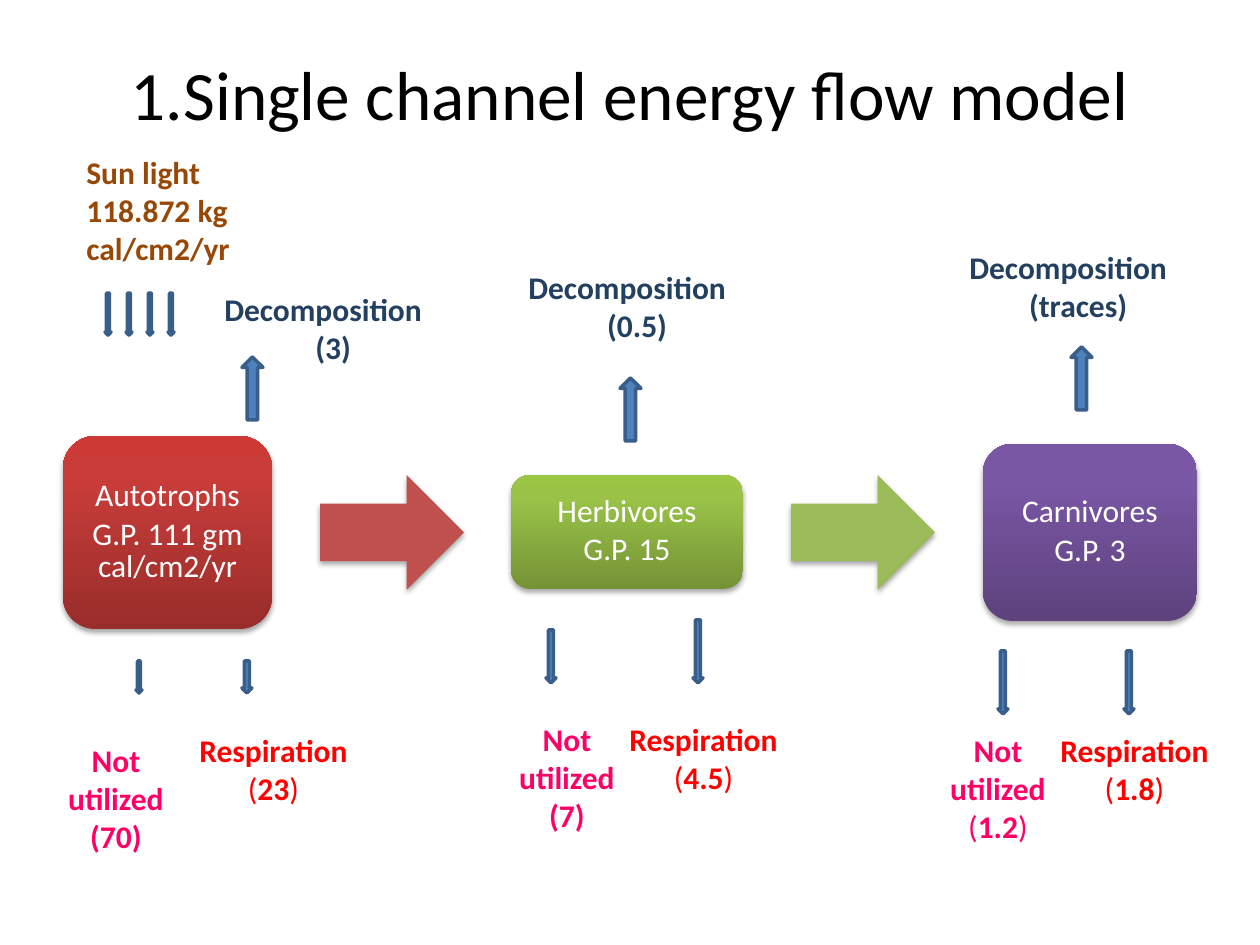
"""Build the single channel energy flow slide."""
from copy import deepcopy
from typing import NamedTuple

from lxml.etree import SubElement
from pptx import Presentation
from pptx.dml.color import RGBColor
from pptx.enum.shapes import MSO_SHAPE
from pptx.enum.text import MSO_ANCHOR, PP_ALIGN
from pptx.oxml.ns import qn
from pptx.util import Emu, Pt

FONT = "Calibri"
COLORS = {
    "title": "000000", "white": "FFFFFF", "sun": "974806",
    "decay": "244061", "waste": "FF0066", "breath": "FF0000",
    "arrow": "4F81BD", "edge": "395E89",
    "red": "C0504D", "green": "9BBB59",
}
SHADES = {
    "red": ("992D2B", "C93D39", "CD3A36"),
    "green": ("759336", "99C247", "9BC545"),
    "purple": ("5D427D", "7A57A5", "7A56A7"),
}


class Box(NamedTuple):
    left: int
    top: int
    width: int
    height: int


class Level(NamedTuple):
    box: Box
    shade: str
    lines: tuple


class Label(NamedTuple):
    box: Box
    color: str
    lines: tuple
    light: bool = False


LEVELS = [
    Level(Box(63, 436, 209, 193), "red", ("Autotrophs", "G.P. 111 gm cal/cm2/yr")),
    Level(Box(511, 475, 232, 114), "green", ("Herbivores", "G.P. 15")),
    Level(Box(983, 444, 214, 177), "purple", ("Carnivores", "G.P. 3")),
]
FLOWS = [(Box(320, 475, 144, 115), "red"), (Box(791, 475, 144, 115), "green")]
RAYS = [Box(105 + 21 * i, 293, 6, 42) for i in range(4)]
DOWN = RAYS + [
    Box(136, 661, 6, 32), Box(242, 661, 10, 32),
    Box(546, 630, 10, 53), Box(693, 620, 10, 63),
    Box(998, 651, 10, 63), Box(1124, 651, 10, 63),
]
UPWARD = [Box(x, y, 21, 63) for x, y in ((242, 357), (620, 378), (1071, 347))]
DECAYS = [
    Label(Box(x, y, 242, 89), "decay", ("Decomposition", text))
    for x, y, text in ((210, 284, "(3)"), (514, 262, "(0.5)"), (955, 242, "(traces)"))
]
WASTES = [
    Label(Box(x, y, 126, 127), "waste", ("Not utilized", text), light)
    for x, y, text, light in (
        (53, 735, "(70)", False), (504, 714, "(7)", False), (935, 725, "(1.2)", True))
]
BREATHS = [
    Label(Box(x, y, 189, 89), "breath", (f"Respiration {text}",), True)
    for x, y, text in ((179, 725, "(23)"), (609, 714, "(4.5)"), (1040, 725, "(1.8)"))
]


def px(count: int) -> Emu:
    """Turn px into EMU."""
    return Emu(round(count * 914400 / 126))


def place(box: Box) -> list:
    """Give a box in EMU."""
    return [px(side) for side in box]


def style(run, color: str, size: float = 18, bold: bool = False) -> None:
    """Format one run."""
    font = run.font
    font.name, font.size, font.bold = FONT, Pt(size), bold
    font.color.rgb = RGBColor.from_string(COLORS[color])


def cast(shape) -> None:
    """Add a soft shadow below a shape."""
    effect = shape._element.spPr.find(qn("a:effectLst"))
    outer = SubElement(effect, qn("a:outerShdw"), blurRad=str(Pt(3.1)),
                       dist=str(Pt(1.8)), dir="5400000", rotWithShape="0")
    tint = SubElement(outer, qn("a:srgbClr"), val="000000")
    SubElement(tint, qn("a:alpha"), val="35000")


def draw(slide, kind: MSO_SHAPE, box: Box):
    """Add a plain shape without line or shadow."""
    shape = slide.shapes.add_shape(kind, *place(box))
    shape.shadow.inherit = False
    shape.line.fill.background()
    return shape


def paint(shape, color: str) -> None:
    """Fill a shape with one color."""
    shape.fill.solid()
    shape.fill.fore_color.rgb = RGBColor.from_string(COLORS[color])


def blend(shape, shade: str) -> None:
    """Fill a shape with a three-stop gradient."""
    shape.fill.gradient()
    shape.fill.gradient_angle = 90
    stops = shape._element.spPr.find(qn("a:gradFill")).find(qn("a:gsLst"))
    stops.append(deepcopy(stops[-1]))
    for stop, spot, tint in zip(shape.fill.gradient_stops, (0, 0.8, 1), SHADES[shade]):
        stop.position = spot
        stop.color.rgb = RGBColor.from_string(tint)


def draw_level(slide, level: Level) -> None:
    """Draw one feeding level."""
    shape = draw(slide, MSO_SHAPE.ROUNDED_RECTANGLE, level.box)
    blend(shape, level.shade)
    cast(shape)
    frame = shape.text_frame
    frame.word_wrap, frame.vertical_anchor = True, MSO_ANCHOR.MIDDLE
    frame.text = "\n".join(level.lines)
    for rank, par in enumerate(frame.paragraphs):
        par.alignment, par.line_spacing = PP_ALIGN.CENTER, 0.85
        if rank:
            par.space_before = Pt(3.6)
        style(par.runs[0], "white")


def draw_thin(slide, kind: MSO_SHAPE, box: Box) -> None:
    """Draw one outlined block arrow."""
    shape = draw(slide, kind, box)
    paint(shape, "arrow")
    shape.line.color.rgb = RGBColor.from_string(COLORS["edge"])
    shape.line.width = Pt(2)


def split(par, text: str) -> None:
    """Put each bracket into a run of its own."""
    head, rest = text.split("(")
    par.text = head
    for part in ("(", rest[:-1], ")"):
        par.add_run().text = part


def draw_label(slide, label: Label, align: PP_ALIGN = PP_ALIGN.CENTER):
    """Draw one bold label and return its frame."""
    frame = slide.shapes.add_textbox(*place(label.box)).text_frame
    frame.word_wrap = True
    frame.text = "\n".join(label.lines)
    for par in frame.paragraphs:
        par.alignment = align
        if label.light and "(" in par.text:
            split(par, par.text)
        for run in par.runs:
            style(run, label.color, bold=not label.light or run.text not in "()")
    return frame


def draw_decay(slide, label: Label) -> None:
    """Draw a label whose second line sits right of center."""
    frame = draw_label(slide, label)
    frame.margin_right = px(28)
    frame.paragraphs[1]._p.get_or_add_pPr().set("marL", str(px(20)))


def main() -> None:
    """Build and save the slide."""
    deck = Presentation()
    deck.slide_width, deck.slide_height = px(1260), px(945)
    slide = deck.slides.add_slide(deck.slide_layouts[5])
    title = slide.shapes.title
    title.left, title.top, title.width, title.height = place(Box(63, 38, 1134, 110))
    title.text_frame.text = "1.Single channel energy flow model"
    title.text_frame.vertical_anchor = MSO_ANCHOR.MIDDLE
    style(title.text_frame.paragraphs[0].runs[0], "title", 39.6)
    for level in LEVELS:
        draw_level(slide, level)
    for box, color in FLOWS:
        flow = draw(slide, MSO_SHAPE.RIGHT_ARROW, box)
        paint(flow, color)
        cast(flow)
    for kind, boxes in ((MSO_SHAPE.DOWN_ARROW, DOWN), (MSO_SHAPE.UP_ARROW, UPWARD)):
        for box in boxes:
            draw_thin(slide, kind, box)
    sun = Label(Box(74, 147, 199, 127), "sun", ("Sun light", "118.872 kg cal/cm2/yr"))
    draw_label(slide, sun, PP_ALIGN.LEFT)
    for label in DECAYS:
        draw_decay(slide, label)
    for label in WASTES + BREATHS:
        draw_label(slide, label)
    deck.save("out.pptx")


if __name__ == "__main__":
    main()
